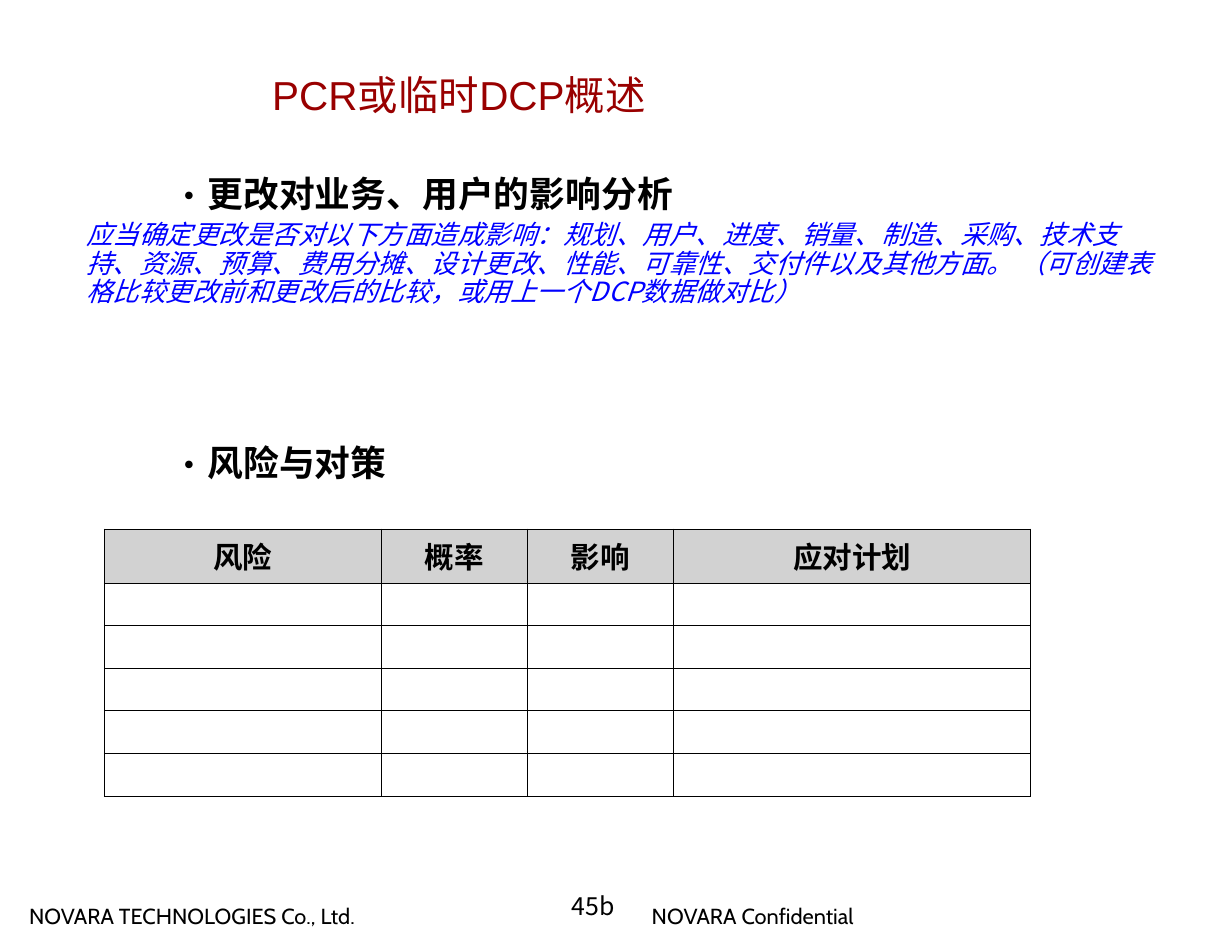
from lxml import etree
from pptx import Presentation
from pptx.dml.color import RGBColor
from pptx.enum.text import MSO_ANCHOR, PP_ALIGN
from pptx.oxml.ns import qn
from pptx.util import Pt

BLACK = RGBColor(0, 0, 0)
BLUE = RGBColor(0, 0, 255)
DARK_RED = RGBColor(0x99, 0, 0)
GREY = RGBColor(0xD2, 0xD2, 0xD2)
WHITE = RGBColor(255, 255, 255)
CJK_FONT = "Noto Sans CJK SC"

HEADERS = ["风险", "概率", "影响", "应对计划"]
COLUMN_WIDTHS = [178, 94, 94, 229.5]
ROW_HEIGHTS = [34.7] + [27.4] * 5


def write(paragraph, text, size, font="Arial", color=BLACK, bold=False,
          italic=False, align=PP_ALIGN.LEFT, line=1.0, before=0):
    paragraph.alignment = align
    paragraph.line_spacing = line
    paragraph.space_before = Pt(before)
    # Keep punctuation inside the text area at line ends.
    paragraph._p.get_or_add_pPr().set("hangingPunct", "0")
    run = paragraph.add_run()
    run.text = text
    run.font.name = font
    run.font.size = Pt(size)
    run.font.bold = bold
    run.font.italic = italic
    run.font.color.rgb = color
    east_asian = etree.SubElement(run.font._element, qn("a:ea"))
    east_asian.set("typeface", CJK_FONT)


def add_text_frame(slide, left, top, width, height, wrap=True):
    """Add a text box without insets and return its text frame."""
    box = slide.shapes.add_textbox(Pt(left), Pt(top), Pt(width), Pt(height))
    frame = box.text_frame
    frame.word_wrap = wrap
    frame.margin_left = frame.margin_right = 0
    frame.margin_top = frame.margin_bottom = 0
    return frame


def add_label(slide, text, left, top, width, height, wrap=True, **style):
    frame = add_text_frame(slide, left, top, width, height, wrap)
    write(frame.paragraphs[0], text, **style)


def add_bullet(paragraph):
    properties = paragraph._p.get_or_add_pPr()
    properties.set("marL", str(Pt(34.5)))
    properties.set("indent", str(Pt(20.5)))
    color = etree.SubElement(properties, qn("a:buClr"))
    etree.SubElement(color, qn("a:srgbClr")).set("val", str(BLACK))
    etree.SubElement(properties, qn("a:buFont")).set("typeface", CJK_FONT)
    etree.SubElement(properties, qn("a:buChar")).set("char", "•")


def add_body(slide):
    frame = add_text_frame(slide, 55.5, 113.6, 692, 221)
    heading = frame.paragraphs[0]
    add_bullet(heading)
    write(heading, "更改对业务、用户的影响分析", size=23, bold=True, line=0.9)
    write(frame.add_paragraph(),
          "应当确定更改是否对以下方面造成影响：规划、用户、进度、销量、制造、采购、"
          "技术支持、资源、预算、费用分摊、设计更改、性能、可靠性、交付件以及其他方面。 "
          "（可创建表格比较更改前和更改后的比较，或用上一个DCP数据做对比）",
          size=17, font=CJK_FONT, color=BLUE, italic=True, line=0.9, before=4.2)
    heading = frame.add_paragraph()
    add_bullet(heading)
    write(heading, "风险与对策", size=23, bold=True, line=0.9, before=89)


def add_borders(cell):
    properties = cell._tc.get_or_add_tcPr()
    for position, side in enumerate(("lnL", "lnR", "lnT", "lnB")):
        border = etree.Element(qn(f"a:{side}"), w=str(Pt(0.45)))
        fill = etree.SubElement(border, qn("a:solidFill"))
        etree.SubElement(fill, qn("a:srgbClr")).set("val", str(BLACK))
        properties.insert(position, border)


def add_risk_table(slide):
    table = slide.shapes.add_table(
        len(ROW_HEIGHTS), len(HEADERS), Pt(67), Pt(340),
        Pt(sum(COLUMN_WIDTHS)), Pt(sum(ROW_HEIGHTS))).table
    for column, width in zip(table.columns, COLUMN_WIDTHS):
        column.width = Pt(width)
    for row, height in zip(table.rows, ROW_HEIGHTS):
        row.height = Pt(height)
    for cell in table.iter_cells():
        cell.margin_left = cell.margin_right = Pt(4.3)
        cell.margin_top = cell.margin_bottom = Pt(2)
        cell.vertical_anchor = MSO_ANCHOR.MIDDLE
        cell.fill.solid()
        cell.fill.fore_color.rgb = WHITE
        add_borders(cell)
    for cell, header in zip(table.rows[0].cells, HEADERS):
        cell.fill.fore_color.rgb = GREY
        write(cell.text_frame.paragraphs[0], header, size=19, bold=True,
              align=PP_ALIGN.CENTER)


def main():
    presentation = Presentation()
    presentation.slide_width = Pt(792)
    presentation.slide_height = Pt(612)
    slide = presentation.slides.add_slide(presentation.slide_layouts[6])

    footer = {"size": 14, "font": "Cabin", "wrap": False}
    add_label(slide, "NOVARA TECHNOLOGIES Co., Ltd.", 18.7, 580.5, 229, 17, **footer)
    add_label(slide, "NOVARA Confidential", 419, 580.5, 149, 17, **footer)
    add_body(slide)
    add_label(slide, "PCR或临时DCP概述", 175, 45, 405, 35, size=26, color=DARK_RED)
    add_risk_table(slide)
    add_label(slide, "45b", 367.5, 572.4, 34, 17, size=16, font=CJK_FONT)

    presentation.save("out.pptx")


if __name__ == "__main__":
    main()
